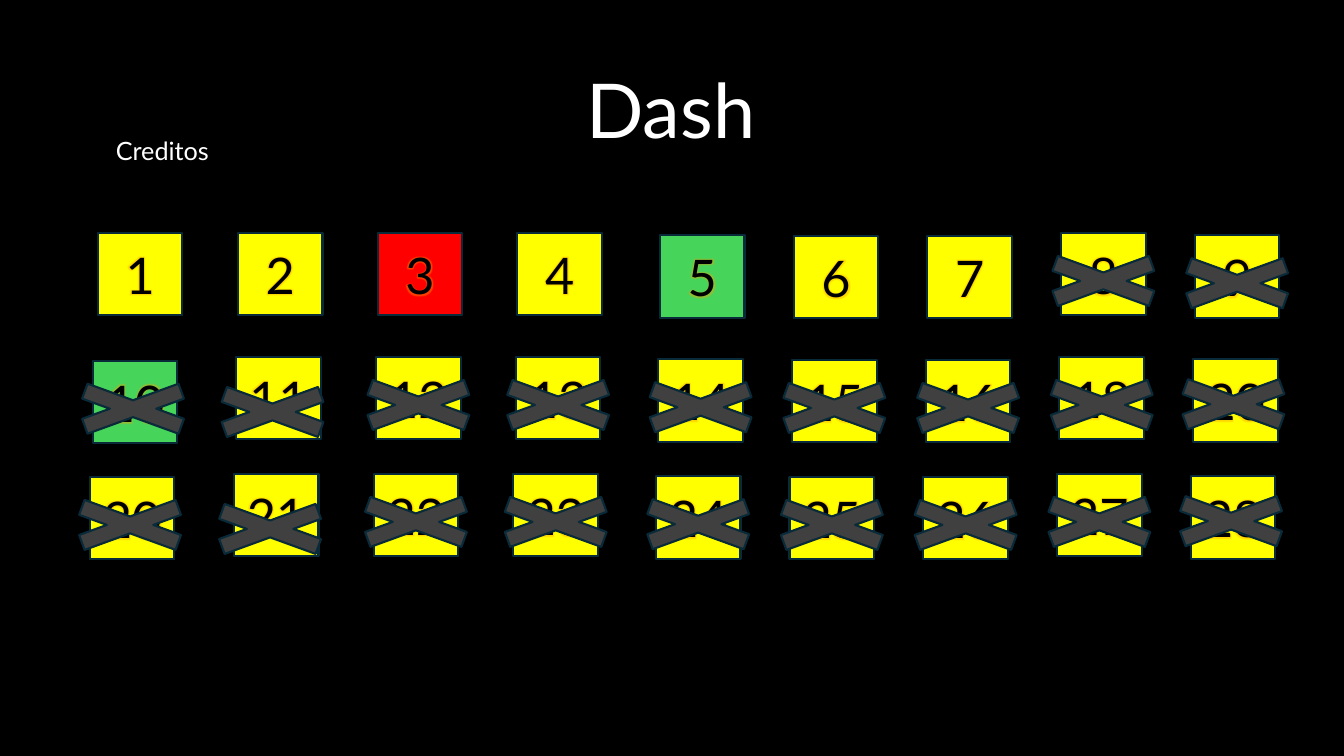
from dataclasses import dataclass

from lxml import etree
from pptx import Presentation
from pptx import util as u
from pptx.dml import color
from pptx.enum import shapes, text
from pptx.oxml import ns


@dataclass(frozen=True)
class Theme:
    font: str = "Lato"
    black: str = "000000"
    white: str = "FFFFFF"
    yellow: str = "FFFF00"
    red: str = "FF0000"
    green: str = "47D45A"
    grey: str = "404040"
    outline: str = "092A39"
    glow: str = "FFA000"
    title_size: int = 54
    number_size: int = 36
    label_size: int = 18
    line_width: float = 1.5


@dataclass(frozen=True)
class TileRow:
    numbers: tuple
    first: tuple
    top: float
    shift: float
    crossed_from: int
    nudges: dict


GRID = 100
TILE_SIZE = (6.3, 10.93)
CROSS_SIZE = (13.8, 8.93)
CROSS_OFFSET = (-3.75, 1.9)
COLUMNS = [17.7 + 10.4 * step for step in range(3)] + [49.1 + 9.95 * step for step in range(5)]
DROPS = (0, 0, 0, 0.3, 0.4, 0.4, 0, 0.3)
NUDGES = {0: (-0.15, 0), 1: (-0.45, 0.93), 8: (-0.15, -0.4)}
ROWS = (
    TileRow((1, 2, 3, 4, 5, 6, 7, 8, 9), (7.28, 30.8), 30.8, 0, 7, {}),
    TileRow((10, 11, 12, 13, 14, 15, 16, 18, 20), (6.9, 47.7), 47.2, -0.12, 0, NUDGES),
    TileRow((20, 21, 22, 23, 24, 25, 26, 27, 28), (6.68, 63.07), 62.67, -0.3, 0, NUDGES),
)


class Board:
    def __init__(self, deck, theme):
        self.theme = theme
        self.width, self.height = deck.slide_width, deck.slide_height
        self.page = deck.slides.add_slide(deck.slide_layouts[0])
        subtitle = self.page.placeholders[1].element
        subtitle.getparent().remove(subtitle)

    def frame(self, left, top, width, height):
        return (
            round(left * self.width / GRID), round(top * self.height / GRID),
            round(width * self.width / GRID), round(height * self.height / GRID),
        )

    def shape(self, kind, place, size, fill, line):
        shape = self.page.shapes.add_shape(kind, *self.frame(*place, *size))
        shape.shadow.inherit = False
        shape.fill.solid()
        shape.fill.fore_color.rgb = color.RGBColor.from_string(fill)
        shape.line.color.rgb = color.RGBColor.from_string(line)
        shape.line.width = u.Pt(self.theme.line_width)
        return shape

    def set_words(self, box, words, size, ink, align, anchor):
        body = box.text_frame
        body.text = words
        body.vertical_anchor = anchor
        para = body.paragraphs[0]
        para.alignment = align
        span = para.runs[0]
        span.font.name = self.theme.font
        span.font.size = u.Pt(size)
        span.font.color.rgb = color.RGBColor.from_string(ink)
        return span

    def backdrop(self):
        black = self.theme.black
        self.shape(shapes.MSO_SHAPE.RECTANGLE, (0, 0), (GRID, GRID), black, black)

    def title(self, words, place, size):
        box = self.page.shapes.title
        box.left, box.top, box.width, box.height = self.frame(*place, *size)
        box.element.getparent().append(box.element)
        self.set_words(box, words, self.theme.title_size, self.theme.white,
                       text.PP_ALIGN.CENTER, text.MSO_ANCHOR.BOTTOM)
        box.text_frame.auto_size = text.MSO_AUTO_SIZE.NONE
        box.text_frame.paragraphs[0].line_spacing = 0.9

    def label(self, words, place, size):
        box = self.page.shapes.add_textbox(*self.frame(*place, *size))
        self.set_words(box, words, self.theme.label_size, self.theme.white,
                       text.PP_ALIGN.LEFT, text.MSO_ANCHOR.TOP)
        box.text_frame.word_wrap = True
        box.text_frame.auto_size = text.MSO_AUTO_SIZE.SHAPE_TO_FIT_TEXT

    def tile(self, number, place, fill):
        box = self.shape(shapes.MSO_SHAPE.RECTANGLE, place, TILE_SIZE, fill, self.theme.outline)
        span = self.set_words(box, str(number), self.theme.number_size, self.theme.black,
                              text.PP_ALIGN.CENTER, text.MSO_ANCHOR.MIDDLE)
        effects = etree.Element(ns.qn("a:effectLst"))
        glow = etree.SubElement(effects, ns.qn("a:glow"), rad="38100")
        tint = etree.SubElement(glow, ns.qn("a:srgbClr"), val=self.theme.glow)
        etree.SubElement(tint, ns.qn("a:alpha"), val="40000")
        ink = next(box.text_frame.paragraphs[0].runs[0]._r.iter(ns.qn("a:solidFill")))
        ink.addnext(effects)
        return span

    def cross(self, place):
        self.shape(shapes.MSO_SHAPE.MATH_MULTIPLY, place, CROSS_SIZE,
                   self.theme.grey, self.theme.outline)

    def tile_row(self, row, fills):
        places = [row.first] + [
            (left + row.shift, row.top + drop) for left, drop in zip(COLUMNS, DROPS)
        ]
        for column, (number, place) in enumerate(zip(row.numbers, places)):
            self.tile(number, place, fills.get(number, self.theme.yellow))
            if column >= row.crossed_from:
                nudge = row.nudges.get(column, (0, 0))
                self.cross([sum(parts) for parts in zip(place, CROSS_OFFSET, nudge)])


def main():
    deck = Presentation()
    deck.slide_width, deck.slide_height = u.Inches(13.333), u.Inches(7.5)
    theme = Theme()
    board = Board(deck, theme)
    board.backdrop()
    board.title("Dash", (41.93, 7.87), (15.98, 13.33))
    fills = {3: theme.red, 5: theme.green, 10: theme.green}
    for row in ROWS:
        board.tile_row(row, fills)
    board.label("Creditos", (7.88, 17.2), (9.15, 5.33))
    deck.save("out.pptx")


if __name__ == "__main__":
    main()
